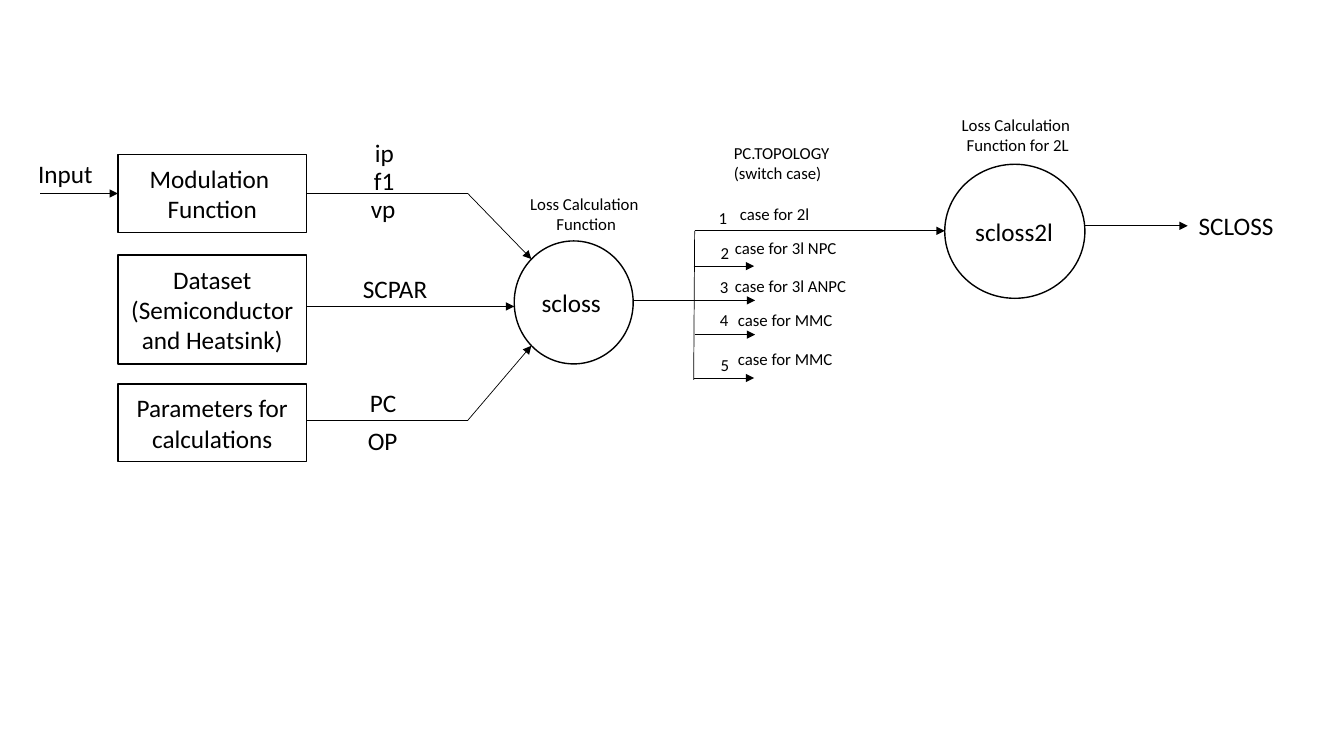
from pptx import Presentation
from pptx.dml.color import RGBColor
from pptx.enum.shapes import MSO_CONNECTOR, MSO_SHAPE
from pptx.enum.text import MSO_ANCHOR, MSO_AUTO_SIZE, PP_ALIGN
from pptx.oxml.ns import qn
from pptx.util import Pt
from lxml.etree import SubElement

PX = 9144  # 100 px to the inch
THEME = {
    "font": "Calibri",
    "ink": RGBColor(0, 0, 0),
    "big": Pt(18),
    "small": Pt(12),
    "edge": Pt(1),
    "wire": Pt(0.5),
}

deck = Presentation()
deck.slide_width, deck.slide_height = 1333 * PX, 750 * PX
slide = deck.slides.add_slide(deck.slide_layouts[6])
shapes = slide.shapes


def write(frame, text, size, align):
    frame.text = text
    for para in frame.paragraphs:
        para.alignment = align
        for run in para.runs:
            run.font.name = THEME["font"]
            run.font.size = THEME[size]
            run.font.color.rgb = THEME["ink"]


def wire(start, end, arrow=True):
    link = shapes.add_connector(
        MSO_CONNECTOR.STRAIGHT, *(v * PX for v in (*start, *end)))
    link.line.color.rgb = THEME["ink"]
    link.line.width = THEME["wire"]
    if arrow:
        SubElement(link.line._get_or_add_ln(), qn("a:tailEnd"), type="triangle")
    SubElement(link._element.spPr, qn("a:effectLst"))


# Input blocks and function circles
RECT, OVAL = MSO_SHAPE.RECTANGLE, MSO_SHAPE.OVAL
nodes = [
    (RECT, 117, 153, 187, 78, "Modulation \nFunction"),
    (RECT, 117, 253, 187, 108, "Dataset\n(Semiconductor and Heatsink)"),
    (RECT, 117, 381, 187, 77, "Parameters for calculations"),
    (OVAL, 510, 239, 118, 122, "scloss"),
    (OVAL, 937, 163, 139, 133, "scloss2l"),
]
for kind, x, y, w, h, text in nodes:
    node = shapes.add_shape(kind, x * PX, y * PX, w * PX, h * PX)
    node.shadow.inherit = False
    node.fill.background()
    node.line.color.rgb = THEME["ink"]
    node.line.width = THEME["edge"]
    node.text_frame.word_wrap = True
    node.text_frame.vertical_anchor = MSO_ANCHOR.MIDDLE
    align = PP_ALIGN.CENTER if kind == RECT else PP_ALIGN.LEFT
    write(node.text_frame, text, "big", align)

# Wires from the input to the first circle
wire((40, 192), (117, 192))
wire((304, 192), (464, 192), arrow=False)
wire((464, 192), (527, 257))
wire((304, 304), (510, 304))
wire((304, 417), (464, 417), arrow=False)
wire((464, 417), (527, 343))

# Switch trunk and output
wire((628, 298), (689, 298), arrow=False)
wire((689, 229), (688, 377), arrow=False)
wire((1076, 224), (1178, 224))

# Free labels
LEFT, MID = PP_ALIGN.LEFT, PP_ALIGN.CENTER
labels = [
    (28, 152, 101, 40, "Input", "big", LEFT),
    (362, 131, 39, 40, "ip", "big", LEFT),
    (361, 159, 41, 40, "f1", "big", LEFT),
    (358, 187, 45, 40, "vp", "big", LEFT),
    (350, 266, 85, 40, "SCPAR", "big", LEFT),
    (357, 379, 47, 40, "PC", "big", LEFT),
    (355, 417, 50, 40, "OP", "big", LEFT),
    (1179, 204, 95, 40, "SCLOSS", "big", LEFT),
    (718, 137, 116, 50, "PC.TOPOLOGY\n(switch case)", "small", LEFT),
    (515, 187, 133, 50, "Loss Calculation \nFunction", "small", MID),
    (943, 109, 133, 50, "Loss Calculation \nFunction for 2L", "small", MID),
]

# Switch branches: wire start, wire end, wire y, number x and y, case label
cases = [
    (689, 937, 229, 703, 201, 724, 197, 90, "case for 2l"),
    (688, 748, 264, 705, 236, 719, 231, 122, "case for 3l NPC"),
    (689, 749, 298, 704, 270, 719, 269, 132, "case for 3l ANPC"),
    (689, 749, 332, 704, 302, 722, 302, 115, "case for MMC"),
    (688, 748, 375, 705, 347, 722, 341, 115, "case for MMC"),
]
for num, (x1, x2, y, nx, ny, cx, cy, cw, text) in enumerate(cases, 1):
    wire((x1, y), (x2, y))
    labels.append((nx, ny, 29, 30, str(num), "small", LEFT))
    labels.append((cx, cy, cw, 30, text, "small", LEFT))

for x, y, w, h, text, size, align in labels:
    box = shapes.add_textbox(x * PX, y * PX, w * PX, h * PX)
    box.text_frame.word_wrap = False
    box.text_frame.auto_size = MSO_AUTO_SIZE.SHAPE_TO_FIT_TEXT
    write(box.text_frame, text, size, align)
    if text == "Input":
        box.text_frame.word_wrap = True

deck.save("out.pptx")
